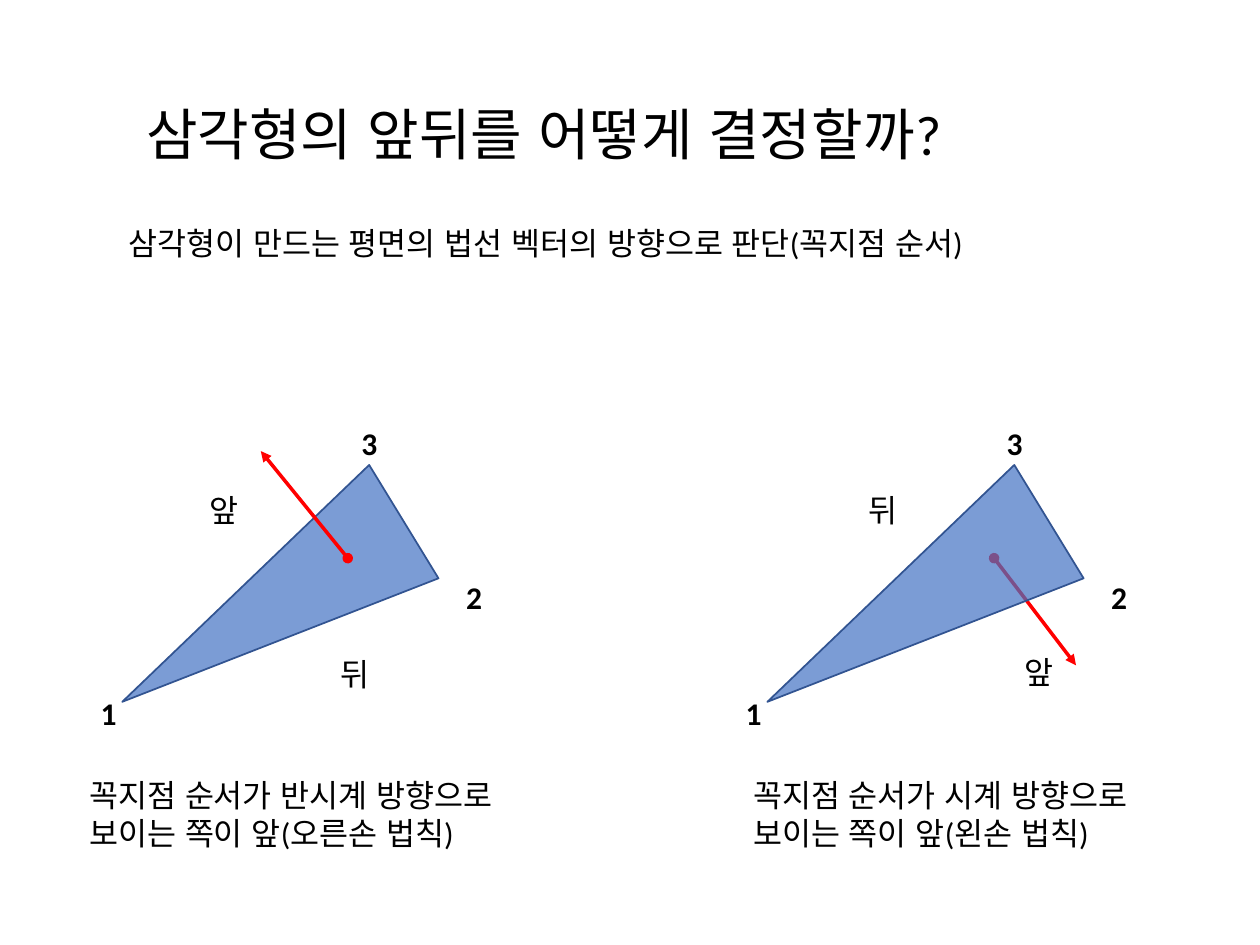
from lxml import etree
from pptx import Presentation
from pptx.dml.color import RGBColor
from pptx.enum import lang, shapes, text
from pptx.oxml import ns
from pptx.util import Inches, Pt

COLORS = {"ink": "000000", "face": "4472C4", "edge": "325491", "normal": "FF0000"}
FONT = "Calibri"
LEFT, CENTER = text.PP_ALIGN.LEFT, text.PP_ALIGN.CENTER


def add_element(parent, tag, **attributes):
    return etree.SubElement(parent, ns.qn(tag), attributes)


class Page:
    def __init__(self, slide):
        self.slide = slide

    def set_words(self, box, words, size, bold=False, align=LEFT):
        frame = box.text_frame
        frame.word_wrap = True
        frame.auto_size = text.MSO_AUTO_SIZE.NONE
        frame.vertical_anchor = text.MSO_ANCHOR.TOP
        frame.text = words
        paragraph = frame.paragraphs[0]
        paragraph.alignment = align
        for run in paragraph.runs:
            run.font.name = FONT
            run.font.size = Pt(size)
            run.font.bold = bold
            run.font.color.rgb = RGBColor.from_string(COLORS["ink"])
            run.font.language_id = lang.MSO_LANGUAGE_ID.KOREAN

    def title(self, words, left, top, width, height):
        heading = self.slide.shapes.title
        heading.left, heading.top = Inches(left), Inches(top)
        heading.width, heading.height = Inches(width), Inches(height)
        self.set_words(heading, words, 32)

    def label(self, words, left, top, width, height=0.4, **style):
        box = self.slide.shapes.add_textbox(
            Inches(left), Inches(top), Inches(width), Inches(height))
        self.set_words(box, words, 18, **style)

    def side(self, words, left, top):
        self.label(words, left, top, 0.66, align=CENTER)

    def triangle(self, left):
        """Draw the translucent face and number its vertices."""
        corners = [(Inches(left + x), Inches(y))
                   for x, y in ((1.96, 3.69), (0, 5.57), (2.51, 4.59))]
        builder = self.slide.shapes.build_freeform(*corners[0])
        builder.add_line_segments(corners[1:], close=True)
        face = builder.convert_to_shape()
        face.shadow.inherit = False
        face.fill.solid()
        face.fill.fore_color.rgb = RGBColor.from_string(COLORS["face"])
        tint = face._element.spPr.find(ns.qn("a:solidFill"))[0]
        add_element(tint, "a:alpha", val="70000")
        face.line.color.rgb = RGBColor.from_string(COLORS["edge"])
        face.line.width = Pt(1)
        for number, x, y in (("3", 1.8, 3.32), ("1", -0.27, 5.46), ("2", 2.63, 4.54)):
            self.label(number, left + x, y, 0.29, bold=True)

    def normal(self, start, end):
        """Draw a normal vector with a dot at its foot."""
        arrow = self.slide.shapes.add_connector(
            shapes.MSO_CONNECTOR.STRAIGHT, *map(Inches, start + end))
        arrow.line.color.rgb = RGBColor.from_string(COLORS["normal"])
        arrow.line.width = Pt(2)
        stroke = arrow._element.spPr.find(ns.qn("a:ln"))
        add_element(stroke, "a:headEnd", type="oval")
        add_element(stroke, "a:tailEnd", type="triangle")
        add_element(arrow._element.spPr, "a:effectLst")


def main():
    deck = Presentation()
    deck.slide_width, deck.slide_height = Inches(10), Inches(7.5)
    page = Page(deck.slides.add_slide(deck.slide_layouts[5]))

    page.title("삼각형의 앞뒤를 어떻게 결정할까?", 1.06, 0.74, 7.88, 0.64)
    page.label("삼각형이 만드는 평면의 법선 벡터의 방향으로 판단(꼭지점 순서)", 0.92, 1.73, 8.19)

    # Counterclockwise: the normal rises in front of the face
    page.triangle(0.97)
    page.normal((2.76, 4.43), (2.07, 3.58))
    page.side("앞", 1.45, 3.85)
    page.side("뒤", 2.49, 5.15)
    page.label("꼭지점 순서가 반시계 방향으로 보이는 쪽이 앞(오른손 법칙)", 0.61, 6.11, 3.75, 0.71)

    # Clockwise: the normal starts behind the face
    page.normal((7.89, 4.43), (8.54, 5.28))
    page.triangle(6.09)
    page.side("앞", 7.92, 5.13)
    page.side("뒤", 6.68, 3.85)
    page.label("꼭지점 순서가 시계 방향으로 보이는 쪽이 앞(왼손 법칙)", 5.88, 6.11, 3.47, 0.71)

    deck.save("out.pptx")


if __name__ == "__main__":
    main()
